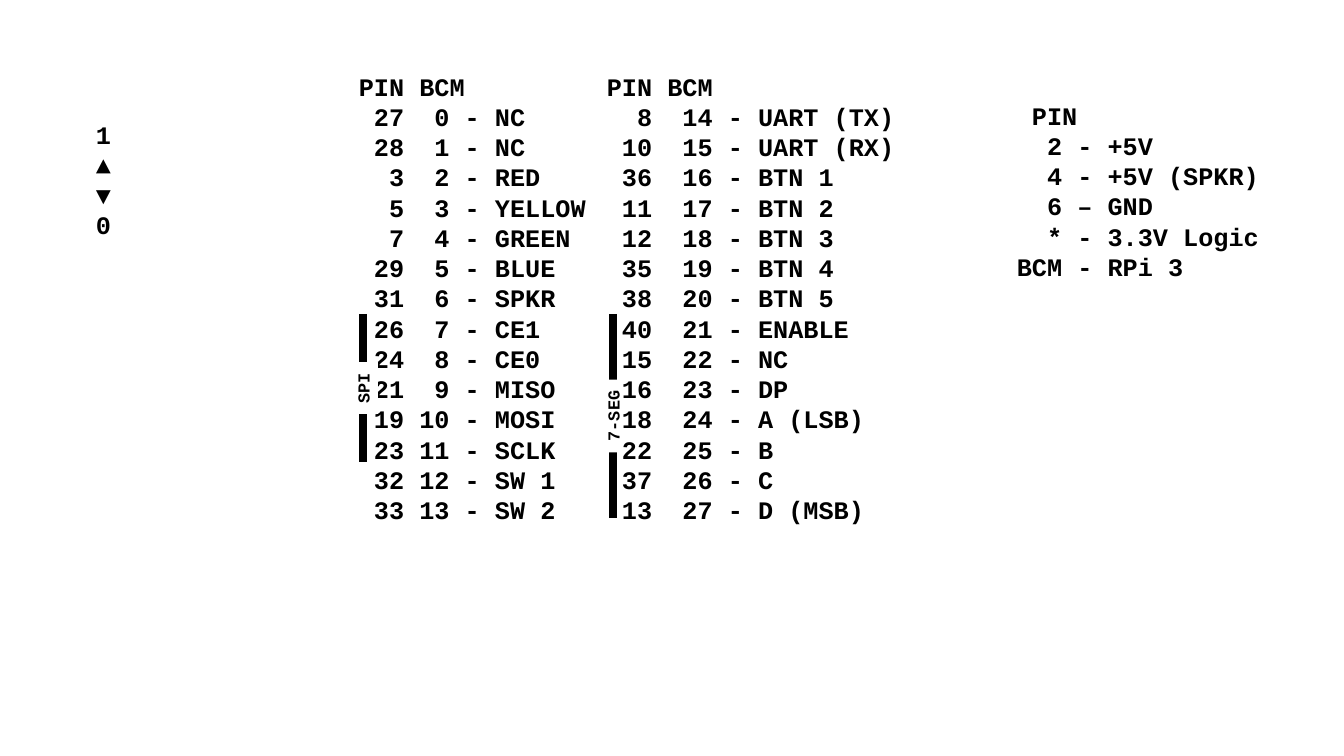
import lxml.etree
import pptx
import pptx.dml.color
import pptx.enum.shapes
import pptx.oxml.ns
import pptx.util

CHAR = 10.8  # advance of one 18 pt monospaced character, in points

LOW_PINS = [
    (27, "NC"), (28, "NC"), (3, "RED"), (5, "YELLOW"), (7, "GREEN"),
    (29, "BLUE"), (31, "SPKR"), (26, "CE1"), (24, "CE0"), (21, "MISO"),
    (19, "MOSI"), (23, "SCLK"), (32, "SW 1"), (33, "SW 2"),
]
HIGH_PINS = [
    (8, "UART (TX)"), (10, "UART (RX)"), (36, "BTN 1"), (11, "BTN 2"),
    (12, "BTN 3"), (35, "BTN 4"), (38, "BTN 5"), (40, "ENABLE"), (15, "NC"),
    (16, "DP"), (18, "A (LSB)"), (22, "B"), (37, "C"), (13, "D (MSB)"),
]
POWER_PINS = [
    ("2", "- +5V"), ("4", "- +5V (SPKR)"), ("6", "– GND"),
    ("*", "- 3.3V Logic"), ("BCM", "- RPi 3"),
]


def px(n):
    return pptx.util.Emu(round(n * 914400 / 100.8))


def rgb(color):
    return pptx.dml.color.RGBColor.from_string(color)


def sub(parent, tag, **attrs):
    return lxml.etree.SubElement(parent, pptx.oxml.ns.qn(tag), attrs)


class Sheet:
    ink, paper = "000000", "FFFFFF"
    font = {"name": "Courier New", "bold": True}

    def __init__(self, slide):
        self.shapes = slide.shapes

    def styled_run(self, p, text, size):
        r = p.add_run()
        r.text = text
        for key, value in {**self.font, "size": pptx.util.Pt(size)}.items():
            setattr(r.font, key, value)
        r.font.color.rgb = rgb(self.ink)

    def text(self, x, y, w, h, lines, tabs=(), head_indent=0):
        """Add one paragraph per line; tabs are (alignment, characters)."""
        tf = self.shapes.add_textbox(px(x), px(y), px(w), px(h)).text_frame
        tf.word_wrap = True
        for i, line in enumerate(lines):
            p = tf.add_paragraph() if i else tf.paragraphs[0]
            self.styled_run(p, line, 18)
            pPr = p._p.get_or_add_pPr()
            if i == 0 and head_indent:
                pPr.set("marL", str(pptx.util.Pt(head_indent * CHAR)))
            elif i and tabs:
                stops = sub(pPr, "a:tabLst")
                for align, chars in tabs:
                    sub(stops, "a:tab", pos=str(pptx.util.Pt(chars * CHAR)), algn=align)

    def pin_column(self, x, w, first, pins, bcm_end):
        rows = [f"\t{pin}\t{bcm}\t- {name}" for bcm, (pin, name) in enumerate(pins, first)]
        tabs = [("r", 3), ("r", bcm_end), ("l", bcm_end + 1)]
        self.text(x, 66, w, 468, ["PIN BCM"] + rows, tabs)

    def bracket(self, x, top, bottom, label, w, h=30):
        """Draw a vertical bar with a rotated label over its middle."""
        line = self.shapes.add_connector(
            pptx.enum.shapes.MSO_CONNECTOR.STRAIGHT, px(x), px(top), px(x), px(bottom))
        line.line.width = pptx.util.Pt(6)
        line.line.color.rgb = rgb(self.ink)
        sub(line._element.spPr, "a:effectLst")

        middle = (top + bottom) / 2
        sp = self.shapes.add_shape(
            pptx.enum.shapes.MSO_SHAPE.RECTANGLE,
            px(x - w / 2), px(middle - h / 2), px(w), px(h))
        sp.rotation = 270
        sp.shadow.inherit = False
        sp.fill.solid()
        sp.fill.fore_color.rgb = rgb(self.paper)
        sp.line.fill.background()
        self.styled_run(sp.text_frame.paragraphs[0], label, 12)


def main():
    prs = pptx.Presentation()
    prs.slide_width, prs.slide_height = px(1344), px(756)
    sheet = Sheet(prs.slides.add_slide(prs.slide_layouts[6]))

    sheet.bracket(613, 314, 518, "7-SEG", 73)
    sheet.pin_column(597, 317, 14, HIGH_PINS, 7)
    sheet.pin_column(349, 319, 0, LOW_PINS, 6)
    power_rows = [f"\t{pin}\t{name}" for pin, name in POWER_PINS]
    sheet.text(1007, 95, 264, 194, ["PIN"] + power_rows, [("r", 3), ("l", 4)], head_indent=1)
    sheet.bracket(363, 314, 462, "SPI", 52)
    sheet.text(86, 114, 51, 132, ["1", "▲", "▼", "0"])

    prs.save("out.pptx")


if __name__ == "__main__":
    main()
